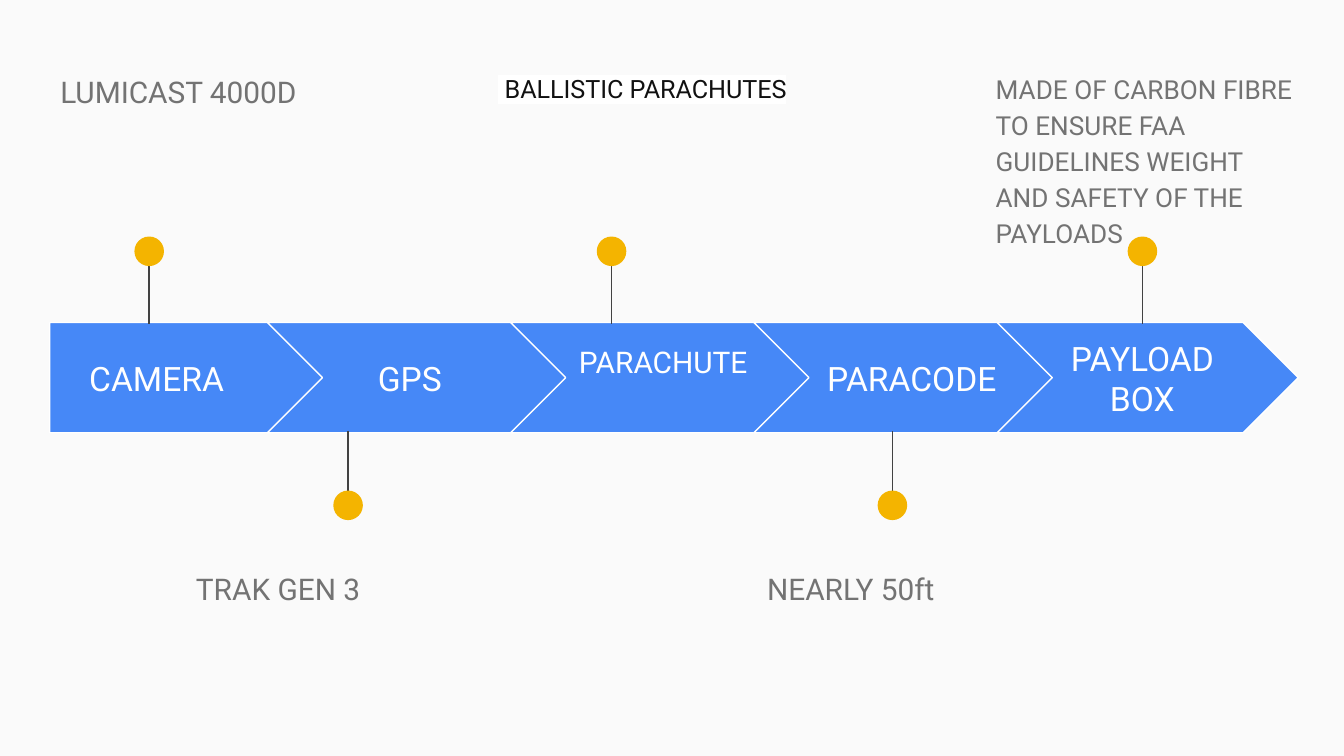
from lxml.etree import SubElement
from pptx import Presentation
from pptx.dml.color import RGBColor
from pptx.enum.shapes import MSO_CONNECTOR, MSO_SHAPE
from pptx.enum.text import MSO_ANCHOR, PP_ALIGN
from pptx.oxml.ns import qn
from pptx.util import Inches, Pt

COLORS = {"back": "FAFAFA", "band": "4688F7", "white": "FFFFFF", "line": "424242",
          "dot": "F4B400", "note": "737373", "ink": "111111"}

# Name: text, left, width, height, size; note: text, left, height, format; pin: centre
STAGES = [
    {"name": ("CAMERA", 0.37, 1.59, 0.51, 18), "pin": 1.11,
     "note": ("LUMICAST 4000D", 0.35, 0.99, {"size": 16})},
    {"name": ("GPS", 2.33, 1.44, 0.51, 18), "pin": 2.59,
     "note": ("TRAK GEN 3", 1.36, 0.99, {"size": 16})},
    {"name": ("PARACHUTE", 4.12, 1.63, 0.26, 16), "pin": 4.55,
     "note": (" BALLISTIC PARACHUTES", 3.61, 0.99,
              {"size": 13.5, "color": "ink", "highlight": "white"})},
    {"name": ("PARACODE", 5.92, 1.73, 0.51, 18), "pin": 6.64,
     "note": ("NEARLY 50ft", 5.61, 0.99, {"size": 16})},
    {"name": ("PAYLOAD BOX", 7.78, 1.44, 0.51, 18), "pin": 8.5,
     "note": ("MADE OF CARBON FIBRE TO ENSURE FAA GUIDELINES WEIGHT "
              "AND SAFETY OF THE PAYLOADS", 7.31, 1.64, {"size": 14})},
]

BAND_TOP, BAND_H = 2.4, 0.82
FIRST_LEFT, FIRST_W = 0.37, 2.05
CHEVRON_LEFT, CHEVRON_W, STEP = 1.99, 2.24, 1.81
NAME_TOP, NOTE_W, DOT = 2.56, 2.45, 0.22
# Per side of the band: note top, dot top, line start, line end
ABOVE = (0.41, 1.76, 1.8, 2.41)
BELOW = (4.11, 3.65, 3.82, 3.21)


def rgb(key):
    return RGBColor.from_string(COLORS[key])


def add_shape(s, kind, left, top, width, height, fill, line=None):
    sp = s.shapes.add_shape(kind, *map(Inches, (left, top, width, height)))
    sp.shadow.inherit = False
    sp.fill.solid()
    sp.fill.fore_color.rgb = rgb(fill)
    if line:
        sp.line.color.rgb = rgb(line)
        sp.line.width = Pt(0.75)
    else:
        sp.line.fill.background()
    return sp


def add_text(s, text, left, top, width, height, *, size, color="note", align=PP_ALIGN.LEFT,
             anchor=MSO_ANCHOR.TOP, spacing=1.15, after=16, highlight=None):
    tf = s.shapes.add_textbox(*map(Inches, (left, top, width, height))).text_frame
    tf.word_wrap = True
    tf.vertical_anchor = anchor
    tf.margin_left = tf.margin_right = tf.margin_top = tf.margin_bottom = Inches(0.1)
    p = tf.paragraphs[0]
    p.alignment, p.line_spacing, p.space_after = align, spacing, Pt(after)
    r = p.add_run()
    r.text = text
    r.font.size = Pt(size)
    r.font.color.rgb = rgb(color)
    if highlight:
        mark = SubElement(r._r.get_or_add_rPr(), qn("a:highlight"))
        SubElement(mark, qn("a:srgbClr")).set("val", COLORS[highlight])
    r.font.name = "Roboto"


def add_pin(s, x, dot_top, start, end):
    line = s.shapes.add_connector(MSO_CONNECTOR.STRAIGHT, *map(Inches, (x, start, x, end)))
    line.line.color.rgb = rgb("line")
    line.line.width = Pt(0.75)
    SubElement(line._element.spPr, qn("a:effectLst"))
    add_shape(s, MSO_SHAPE.OVAL, x - DOT / 2, dot_top, DOT, DOT, "dot")


def add_stage(s, i, stage):
    if i == 0:
        kind, left, width = MSO_SHAPE.PENTAGON, FIRST_LEFT, FIRST_W
    else:
        kind, left, width = MSO_SHAPE.CHEVRON, CHEVRON_LEFT + (i - 1) * STEP, CHEVRON_W
    add_shape(s, kind, left, BAND_TOP, width, BAND_H, "band", "white")

    name, left, width, height, size = stage["name"]
    add_text(s, name, left, NAME_TOP, width, height, size=size, color="white",
             align=PP_ALIGN.CENTER, anchor=MSO_ANCHOR.MIDDLE, spacing=1.0, after=0)

    note_top, *pin = BELOW if i % 2 else ABOVE
    add_pin(s, stage["pin"], *pin)
    note, left, height, style = stage["note"]
    add_text(s, note, left, note_top, NOTE_W, height, **style)


prs = Presentation()
prs.slide_width = Inches(10)
prs.slide_height = prs.slide_width * 9 // 16
s = prs.slides.add_slide(prs.slide_layouts[6])
s.background.fill.solid()
s.background.fill.fore_color.rgb = rgb("back")
for i, stage in enumerate(STAGES):
    add_stage(s, i, stage)
prs.save("out.pptx")
